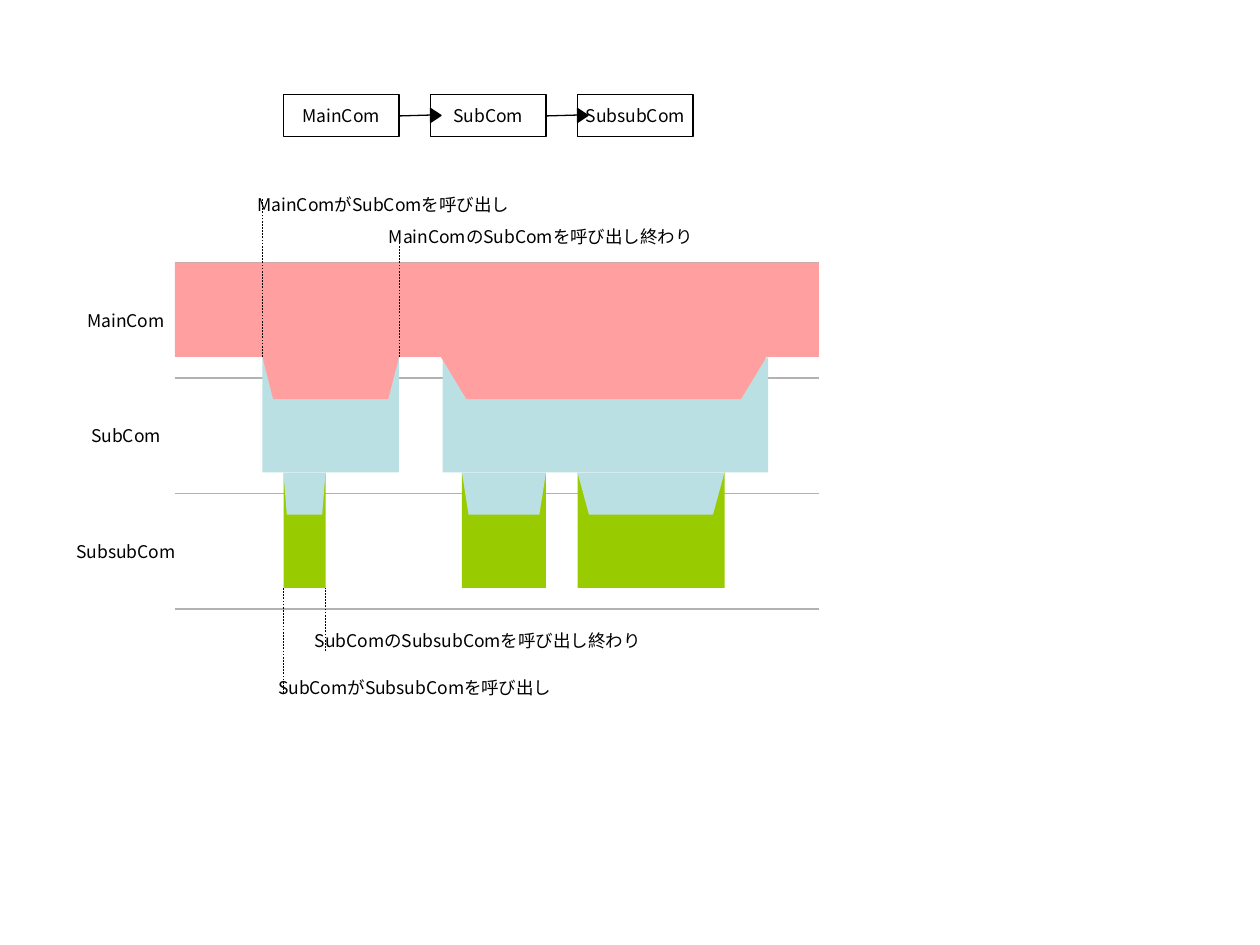
from pptx import Presentation
from pptx.dml.color import RGBColor
from pptx.enum.dml import MSO_LINE
from pptx.enum.shapes import MSO_CONNECTOR, MSO_SHAPE
from pptx.enum.text import MSO_ANCHOR, PP_ALIGN
from pptx.oxml.ns import qn
from pptx.util import Pt
from lxml.etree import SubElement

THEME = {
    "font": "Noto Sans CJK JP", "size": 10,
    "ink": "000000", "paper": "FFFFFF", "rule": "B2B2B2",
    "main": "FF9F9F", "sub": "BBE0E3", "subsub": "99CC00",
    "line": 0.75, "leader": 0.25,
}

# Content, lengths in points
COMPONENTS = ["MainCom", "SubCom", "SubsubCom"]
# top, caller colour, callee colour, calls (caller left, callee left, width)
CALLS = [
    (204, "main", "sub", [(150, 150, 78), (252, 253, 186)]),
    (270, "sub", "subsub", [(162, 162, 24), (264, 264, 48), (330, 330, 84)]),
]
# leader x, leader start y, leader end y, caption, caption box
EVENTS = [
    (150, 204, 114, "MainComがSubComを呼び出し", (150, 108, 138, 18)),
    (162, 396, 336, "SubComがSubsubComを呼び出し", (168, 384, 138, 18)),
    (186, 372, 336, "SubComのSubsubComを呼び出し終わり", (186, 354, 174, 24)),
    (228, 204, 132, "MainComのSubComを呼び出し終わり", (240, 126, 138, 18)),
]
LANE_X, LANE_W, LANE_Y, LANE_H = 100, 368, 150, 66
BAND_H = 54
BOX_X, BOX_Y, BOX_W, BOX_H, BOX_STEP = 162, 54, 66, 24, 84
HEAD_W, HEAD_H = 8, 6
CALL_H, NOTCH_H, CALLER_H = 66, 12, 24

prs = Presentation()
prs.slide_width, prs.slide_height = Pt(720), Pt(540)
s = prs.slides.add_slide(prs.slide_layouts[6])


def rgb(name):
    return RGBColor.from_string(THEME[name])


def paint(sp, fill=None, line=None):
    sp.shadow.inherit = False
    if fill:
        sp.fill.solid()
        sp.fill.fore_color.rgb = rgb(fill)
    else:
        sp.fill.background()
    if line:
        sp.line.color.rgb = rgb(line)
        sp.line.width = Pt(THEME["line"])
    else:
        sp.line.fill.background()


def add_line(x1, y1, x2, y2, color="ink", width="line", dash=None):
    c = s.shapes.add_connector(MSO_CONNECTOR.STRAIGHT, *map(Pt, (x1, y1, x2, y2)))
    c.line.color.rgb = rgb(color)
    c.line.width = Pt(THEME[width])
    if dash:
        c.line.dash_style = dash
    SubElement(c._element.spPr, qn("a:effectLst"))


def add_shape(kind, box, fill=None, line=None):
    sp = s.shapes.add_shape(kind, *map(Pt, box))
    paint(sp, fill, line)
    return sp


def add_outline(points, fill):
    builder = s.shapes.build_freeform(Pt(points[0][0]), Pt(points[0][1]))
    builder.add_line_segments([(Pt(x), Pt(y)) for x, y in points[1:]])
    paint(builder.convert_to_shape(), fill)


def add_label(box, text, fill=None, line=None):
    tf = add_shape(MSO_SHAPE.RECTANGLE, box, fill, line).text_frame
    tf.word_wrap = False
    tf.vertical_anchor = MSO_ANCHOR.MIDDLE
    p = tf.paragraphs[0]
    p.alignment = PP_ALIGN.CENTER
    r = p.add_run()
    r.text = text
    for key, value in {"name": THEME["font"], "size": Pt(THEME["size"])}.items():
        setattr(r.font, key, value)
    r.font.color.rgb = rgb("ink")
    SubElement(r._r.get_or_add_rPr(), qn("a:ea")).set("typeface", THEME["font"])


# Lane rules, main band and lane names
for i in range(len(COMPONENTS) + 1):
    y = LANE_Y + i * LANE_H
    add_line(LANE_X, y, LANE_X + LANE_W, y, "rule")
add_shape(MSO_SHAPE.RECTANGLE, (LANE_X, LANE_Y, LANE_W, BAND_H), "main")
for i, name in enumerate(COMPONENTS):
    add_label((48, LANE_Y + 24 + i * LANE_H, 48, 18), name)

# Call chain: boxes joined by arrows
mid_y = BOX_Y + BOX_H / 2
for i, name in enumerate(COMPONENTS):
    x = BOX_X + i * BOX_STEP
    add_label((x, BOX_Y, BOX_W, BOX_H), name, "paper", "ink")
    if i:
        add_line(x, mid_y - 0.25, x - BOX_STEP + BOX_W, mid_y + 0.25)
        head = add_shape(MSO_SHAPE.ISOSCELES_TRIANGLE,
                         (x - 1, mid_y - HEAD_H / 2, HEAD_W, HEAD_H), "ink", "ink")
        head.rotation = 90

# Called components: blocks with a notched top
for top, _, callee, calls in CALLS:
    for _, x, w in calls:
        right, inset = x + w, w / 12.8
        add_outline([(x, top), (x, top + CALL_H), (right, top + CALL_H), (right, top),
                     (right - w / 11.4, top + NOTCH_H), (x + inset, top + NOTCH_H),
                     (x + inset / 2, top + NOTCH_H / 2), (x, top)], callee)

# Dashed leaders and captions
for x, y1, y2, caption, box in EVENTS:
    add_line(x, y1, x, y2, width="leader", dash=MSO_LINE.DASH)
    add_label(box, caption)

# Callers: trapezoids reaching into the called blocks
for top, caller, _, calls in CALLS:
    for x, _, w in calls:
        inset, bottom = w / 12.8, top + CALLER_H
        add_outline([(x, top), (x + w, top), (x + w - inset, bottom),
                     (x + inset, bottom), (x, top)], caller)

prs.save("out.pptx")
